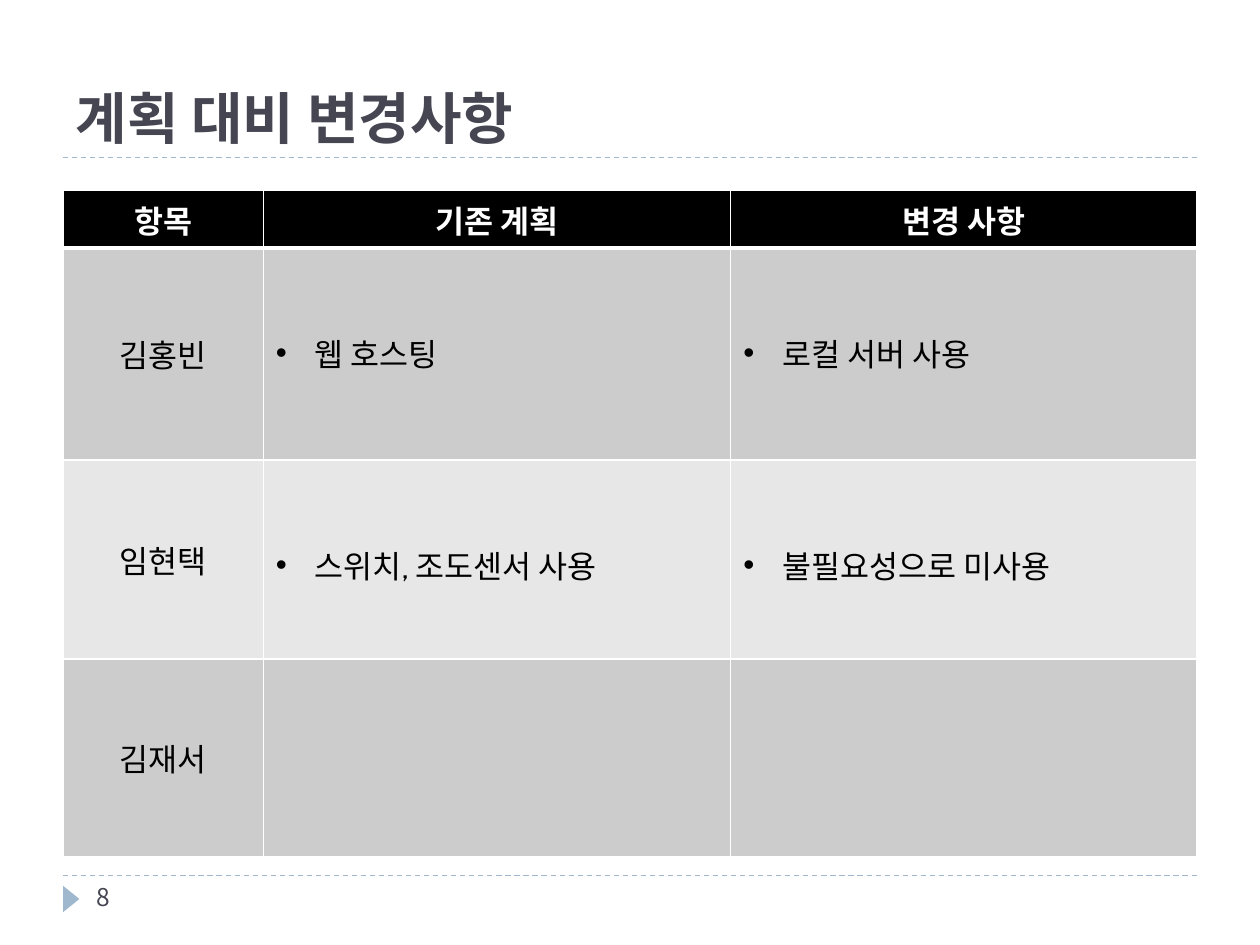
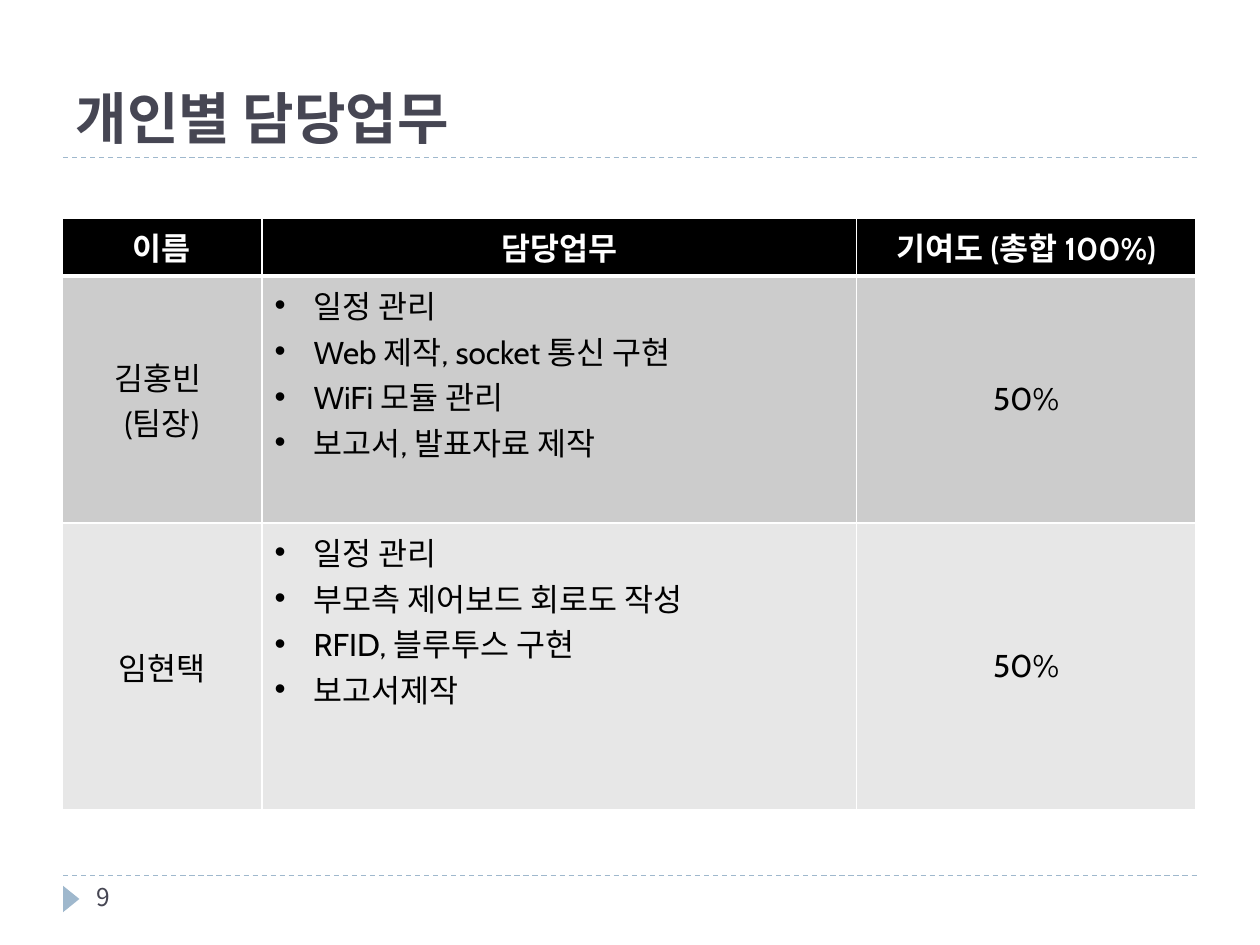
from lxml import etree
from pptx import Presentation
from pptx import util as u
from pptx.dml.color import RGBColor
from pptx.enum import dml, shapes, text
from pptx.oxml import ns

COLOURS = {"ink": "464653", "accent": "9FB8CD", "header": "000000", "white": "FFFFFF",
           "text": "000000", "odd": "CCCCCC", "even": "E7E7E7"}
KOREAN, LATIN = "Noto Sans CJK KR", "Cabin"
TITLE_BOX = (0.5, 0.17, 9, 1.08)
FOOTER_BOX = (0.5, 6.95, 9, 0.4)
INDENT = u.Inches(0.31)

FORMATS = {
    "title": {"size": u.Pt(32), "name": KOREAN, "bold": True},
    "number": {"size": u.Pt(14), "name": KOREAN, "bold": False},
    "header": {"size": u.Pt(18), "name": LATIN, "bold": True},
    "body": {"size": u.Pt(18), "name": LATIN, "bold": False},
}

SLIDES = [
    {
        "number": 8,
        "title": "계획 대비 변경사항",
        "box": (0.5, 1.51),
        "widths": (1.59, 3.71, 3.7),
        "heights": (0.46, 1.68, 1.58, 1.57),
        "list_top": 0.65,
        "rows": [
            ["항목", "기존 계획", "변경 사항"],
            ["김홍빈", ["웹 호스팅"], ["로컬 서버 사용"]],
            ["임현택", ["스위치, 조도센서 사용"], ["불필요성으로 미사용"]],
            ["김재서", [], []],
        ],
    },
    {
        "number": 9,
        "title": "개인별 담당업무",
        "box": (0.49, 1.73),
        "widths": (1.59, 4.72, 2.69),
        "heights": (0.46, 1.96, 2.28),
        "list_top": 0.05,
        "rows": [
            ["이름", "담당업무", "기여도 (총합 100%)"],
            ["김홍빈 \n(팀장)",
             ["일정 관리", "Web 제작, socket 통신 구현", "WiFi 모듈 관리", "보고서, 발표자료 제작"],
             "50%"],
            ["임현택",
             ["일정 관리", "부모측 제어보드 회로도 작성", "RFID, 블루투스 구현", "보고서제작"],
             "50%"],
        ],
    },
]


def colour(name):
    return RGBColor.from_string(COLOURS[name])


def apply(target, values):
    for key, value in values.items():
        setattr(target, key, value)


def write(paragraph, words, style, ink):
    run = paragraph.add_run()
    run.text = words
    apply(run.font, FORMATS[style])
    run.font.color.rgb = colour(ink)
    etree.SubElement(run.font._element, ns.qn("a:ea"), typeface=KOREAN)


def add_rule(slide, left, top, width):
    rule = slide.shapes.add_connector(
        shapes.MSO_CONNECTOR.STRAIGHT,
        *map(u.Inches, (left, top, left + width, top)))
    apply(rule.line, {"width": u.Pt(0.75), "dash_style": dml.MSO_LINE.DASH})
    rule.line.color.rgb = colour("accent")
    etree.SubElement(rule._element.spPr, ns.qn("a:effectLst"))


def add_heading(slide, box, words):
    left, top, width, height = box
    add_rule(slide, left, top + height, width)
    heading = slide.shapes.title
    apply(heading, dict(zip(("left", "top", "width", "height"), map(u.Inches, box))))
    apply(heading.text_frame, {"vertical_anchor": text.MSO_ANCHOR.BOTTOM,
                               "auto_size": text.MSO_AUTO_SIZE.NONE})
    line = heading.text_frame.paragraphs[0]
    line.alignment = text.PP_ALIGN.LEFT
    write(line, words, "title", "ink")


def add_footer(slide, box, number):
    left, top, width, height = box
    add_rule(slide, left, top, width)
    marker = slide.shapes.add_shape(
        shapes.MSO_SHAPE.ISOSCELES_TRIANGLE,
        *map(u.Inches, (left - 0.04, top + 0.12, 0.21, 0.13)))
    marker.rotation = 90
    marker.shadow.inherit = False
    marker.fill.solid()
    marker.fill.fore_color.rgb = colour("accent")
    marker.line.fill.background()
    page = slide.shapes.add_textbox(
        *map(u.Inches, (left + 0.17, top, 2.17, height)))
    page.text_frame.word_wrap = True
    write(page.text_frame.paragraphs[0], str(number), "number", "ink")


def set_borders(cell, row):
    points = {"lnL": 1, "lnR": 1, "lnT": 3 if row == 1 else 1, "lnB": 3 if row == 0 else 1}
    properties = cell._tc.get_or_add_tcPr()
    for side, width in points.items():
        border = etree.SubElement(properties, ns.qn(f"a:{side}"), w=str(u.Pt(width)))
        fill = etree.SubElement(border, ns.qn("a:solidFill"))
        etree.SubElement(fill, ns.qn("a:srgbClr"), val=COLOURS["white"])


def add_bullet(paragraph):
    properties = paragraph._p.get_or_add_pPr()
    for key, value in {"marL": INDENT, "indent": -INDENT}.items():
        properties.set(key, str(value))
    etree.SubElement(properties, ns.qn("a:buFont"), typeface="Arial")
    etree.SubElement(properties, ns.qn("a:buChar"), char="•")


def fill_cell(cell, row, content, list_top):
    set_borders(cell, row)
    band = "header" if row == 0 else "odd" if row % 2 else "even"
    cell.fill.solid()
    cell.fill.fore_color.rgb = colour(band)
    bulleted = isinstance(content, list)
    if bulleted:
        cell.margin_top = u.Inches(list_top)
    elif row:
        cell.vertical_anchor = text.MSO_ANCHOR.MIDDLE
    style, ink = ("body", "text") if row else ("header", "white")
    frame = cell.text_frame
    for index, words in enumerate(content if bulleted else content.split("\n")):
        line = frame.add_paragraph() if index else frame.paragraphs[0]
        if bulleted:
            add_bullet(line)
        else:
            line.alignment = text.PP_ALIGN.CENTER
        write(line, words, style, ink)


def add_grid(slide, box, widths, heights, rows, list_top):
    grid = slide.shapes.add_table(
        len(heights), len(widths),
        *map(u.Inches, (*box, sum(widths), sum(heights)))).table
    for column, width in zip(grid.columns, widths):
        column.width = u.Inches(width)
    for line, height in zip(grid.rows, heights):
        line.height = u.Inches(height)
    for row, contents in enumerate(rows):
        for column, content in enumerate(contents):
            fill_cell(grid.cell(row, column), row, content, list_top)


def add_table_slide(deck, content):
    slide = deck.slides.add_slide(deck.slide_layouts[5])
    add_heading(slide, TITLE_BOX, content["title"])
    add_footer(slide, FOOTER_BOX, content["number"])
    add_grid(slide, content["box"], content["widths"], content["heights"],
             content["rows"], content["list_top"])


def main():
    deck = Presentation()
    apply(deck, {"slide_width": u.Inches(10), "slide_height": u.Inches(7.5)})
    for content in SLIDES:
        add_table_slide(deck, content)
    deck.save("out.pptx")


if __name__ == "__main__":
    main()
